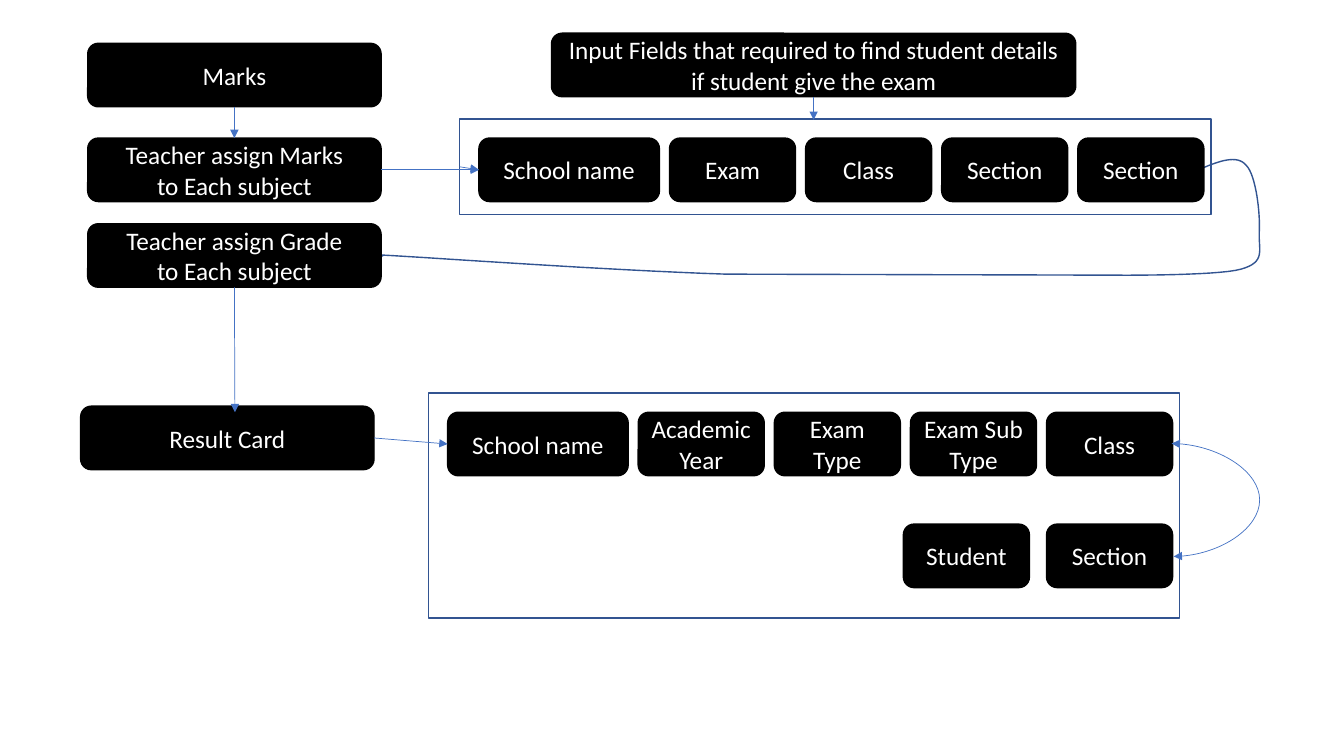
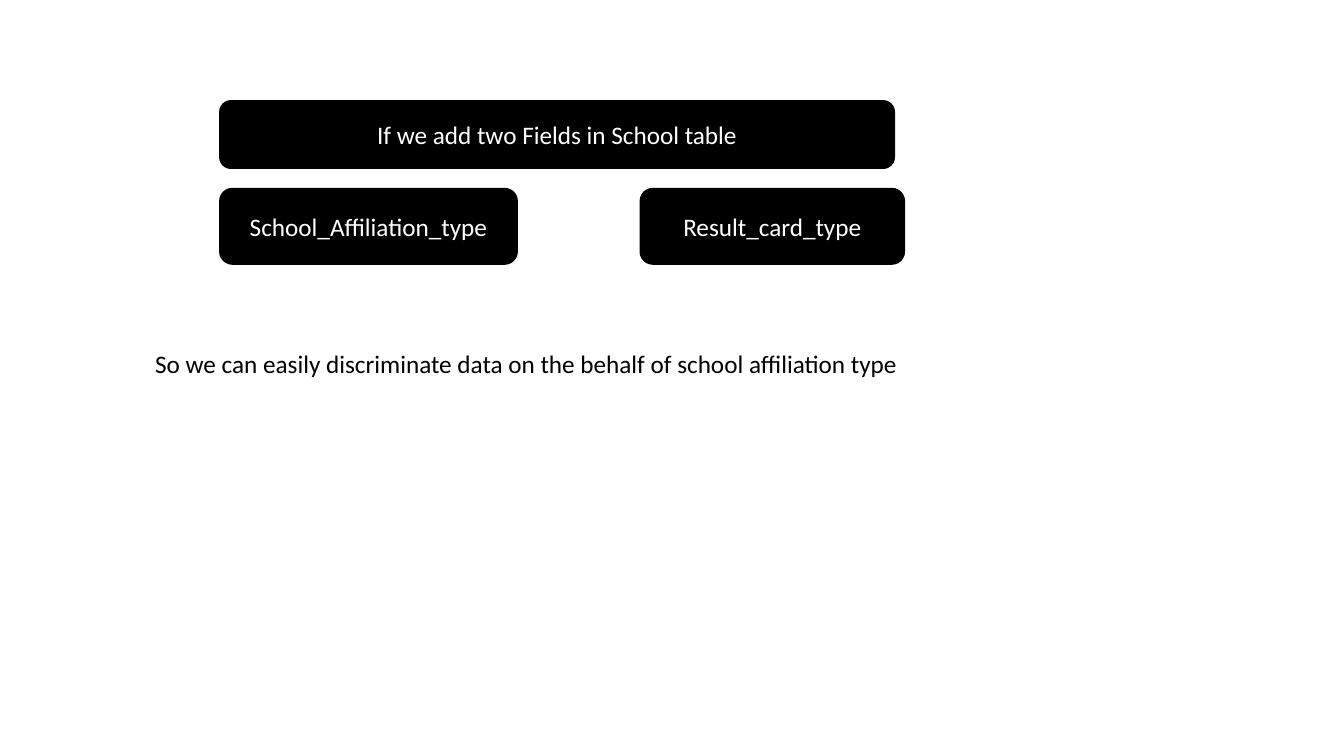
from lxml import etree
from pptx import Presentation
from pptx import util as u
from pptx.dml.color import RGBColor
from pptx.enum import shapes, text
from pptx.oxml.ns import qn

COLORS = {"box": "000000", "box_text": "FFFFFF", "note": "000000",
          "frame": "325491", "arrow": "4472C4"}
FONT, FONT_SIZE = "Calibri", 18
TOP, LEFT, BOTTOM, RIGHT = range(4)  # connection sites of a rectangle

STEP_WIDTH, BOX_HEIGHT = 2.91, 0.63
STEPS = [  # text, left, top
    ("Marks", 0.87, 0.43),
    ("Teacher assign Marks\vto Each subject", 0.87, 1.37),
    ("Teacher assign Grade\vto Each subject", 0.87, 2.22),
    ("Result Card", 0.8, 4.03),
]
INPUT_TITLE = ("Input Fields that required to find student details "
               "if student give the exam")
INPUT_FIELDS = ["School name", "Exam", "Class", "Section", "Section"]
RESULT_FIELDS = ["School name", "Academic Year", "Exam Type",
                 "Exam Sub Type", "Class"]
RESULT_EXTRAS = [("Section", 10.38), ("Student", 8.96)]
EXTRAS_TOP = 5.2
FIRST_WIDTH, FIELD_WIDTH, FIELD_GAP = 1.79, 1.25, 0.1
FRAME_WIDTH, FRAME_MARGIN = 7.45, 0.19

# Cubic segments: two control points and an end point each
GRADE_START = (11.92, 1.67)
GRADE_CURVE = [
    ((12.09, 1.6), (12.27, 1.53), (12.36, 1.64)),
    ((12.46, 1.74), (12.5, 2.13), (12.49, 2.3)),
    ((12.48, 2.48), (12.56, 2.6), (12.31, 2.67)),
    ((12.07, 2.74), (11, 2.73), (11, 2.73)),
    ((11, 2.73), (7.2, 2.72), (7.2, 2.72)),
    ((5.99, 2.68), (4.35, 2.56), (3.78, 2.53)),
    ((3.22, 2.5), (3.51, 2.52), (3.8, 2.54)),
]
CURVE_STEPS = 16

TABLE_BOXES = [  # text, left, top, width, height
    ("If we add two Fields in School table", 2.18, 1, 6.69, 0.67),
    ("School_Affiliation_type", 2.18, 1.87, 2.95, 0.75),
    ("Result_card_type", 6.35, 1.87, 2.62, 0.75),
]
NOTE = "So we can easily discriminate data on the behalf of school affiliation type"


def color(name):
    return RGBColor.from_string(COLORS[name])


def inches(*lengths):
    return [u.Inches(length) for length in lengths]


def style_line(shape, name, width):
    shape.line.color.rgb = color(name)
    shape.line.width = u.Pt(width)


def write(shape, words, name, align):
    shape.text_frame.word_wrap = True
    shape.text_frame.text = words
    paragraph = shape.text_frame.paragraphs[0]
    paragraph.alignment = align
    paragraph.font.name = FONT
    paragraph.font.size = u.Pt(FONT_SIZE)
    paragraph.font.color.rgb = color(name)


def add_box(slide, words, left, top, width, height=BOX_HEIGHT):
    box = slide.shapes.add_shape(shapes.MSO_SHAPE.ROUNDED_RECTANGLE,
                                 *inches(left, top, width, height))
    box.shadow.inherit = False
    box.fill.solid()
    box.fill.fore_color.rgb = color("box")
    style_line(box, "box", 1)
    box.text_frame.vertical_anchor = text.MSO_ANCHOR.MIDDLE
    write(box, words, "box_text", text.PP_ALIGN.CENTER)
    return box


def add_framed_row(slide, labels, left, top, frame_height):
    """Draw a row of fields and its frame; return the first field and the frame."""
    row, x = [], left
    for index, label in enumerate(labels):
        width = FIELD_WIDTH if index else FIRST_WIDTH
        row.append(add_box(slide, label, x, top, width))
        x += width + FIELD_GAP
    frame = slide.shapes.add_shape(
        shapes.MSO_SHAPE.RECTANGLE,
        *inches(left - FRAME_MARGIN, top - FRAME_MARGIN, FRAME_WIDTH, frame_height))
    frame.shadow.inherit = False
    frame.fill.background()
    style_line(frame, "frame", 1)
    return row[0], frame


def add_arrow(slide, start, end, kind=shapes.MSO_CONNECTOR.STRAIGHT, ends=("tailEnd",)):
    """Each end is a point in inches or a (shape, site) pair to glue to."""
    glued = [not isinstance(place[0], (int, float)) for place in (start, end)]
    points = [(0, 0) if glue else place for place, glue in zip((start, end), glued)]
    arrow = slide.shapes.add_connector(kind, *inches(*points[0], *points[1]))
    if glued[0]:
        arrow.begin_connect(*start)
    if glued[1]:
        arrow.end_connect(*end)
    style_line(arrow, "arrow", 0.5)
    line = arrow.line._get_or_add_ln()
    for tag in ends:
        etree.SubElement(line, qn(f"a:{tag}"), type="triangle")
    etree.SubElement(arrow._element.spPr, qn("a:effectLst"))
    return arrow


def add_loop(slide, start, end, bulge_x):
    """Curved two-headed arrow that swings out to bulge_x."""
    loop = add_arrow(slide, start, end, shapes.MSO_CONNECTOR.CURVE,
                     ("headEnd", "tailEnd"))
    ratio = (bulge_x - start[0]) / (end[0] - start[0])
    guides = loop._element.spPr.find(qn("a:prstGeom")).get_or_add_avLst()
    etree.SubElement(guides, qn("a:gd"), name="adj1",
                     fmla=f"val {round(ratio * 100000)}")


def add_curve(slide, start, segments):
    points, origin = [], start
    for first, second, end in segments:
        for step in range(1, CURVE_STEPS + 1):
            t = step / CURVE_STEPS
            weights = ((1 - t) ** 3, 3 * t * (1 - t) ** 2, 3 * t ** 2 * (1 - t), t ** 3)
            corners = (origin, first, second, end)
            points.append(inches(*(sum(w * c[axis] for w, c in zip(weights, corners))
                                   for axis in (0, 1))))
        origin = end
    builder = slide.shapes.build_freeform(*inches(*start))
    builder.add_line_segments(points, close=False)
    curve = builder.convert_to_shape()
    curve.shadow.inherit = False
    curve.fill.background()
    style_line(curve, "frame", 1)


def build_flow(slide):
    add_curve(slide, GRADE_START, GRADE_CURVE)
    marks, assign_marks, assign_grade, result_card = [
        add_box(slide, words, left, top, STEP_WIDTH) for words, left, top in STEPS]
    input_title = add_box(slide, INPUT_TITLE, 5.47, 0.33, 5.2)
    input_school, input_frame = add_framed_row(slide, INPUT_FIELDS, 4.75, 1.37, 0.95)
    result_school, _ = add_framed_row(slide, RESULT_FIELDS, 4.44, 4.09, 2.23)
    for words, left in RESULT_EXTRAS:
        add_box(slide, words, left, EXTRAS_TOP, FIELD_WIDTH)

    for start, end in [
        ((input_title, BOTTOM), (8.07, 1.19)),
        ((input_frame, LEFT), (input_school, LEFT)),
        ((assign_marks, RIGHT), (input_school, LEFT)),
        ((result_card, RIGHT), (result_school, LEFT)),
        ((marks, BOTTOM), (assign_marks, TOP)),
        ((assign_grade, BOTTOM), (2.33, 4.09)),
    ]:
        add_arrow(slide, start, end)
    add_loop(slide, (11.62, 4.4), (11.64, 5.52), 12.49)


def build_table_fields(slide):
    for box in TABLE_BOXES:
        add_box(slide, *box)
    note = slide.shapes.add_textbox(*inches(1.44, 3.41, 9.44, 0.4))
    write(note, NOTE, "note", text.PP_ALIGN.LEFT)
    note.text_frame.auto_size = text.MSO_AUTO_SIZE.SHAPE_TO_FIT_TEXT


def main():
    deck = Presentation()
    deck.slide_width, deck.slide_height = inches(13.33, 7.5)
    for build in (build_flow, build_table_fields):
        build(deck.slides.add_slide(deck.slide_layouts[6]))
    deck.save("out.pptx")


if __name__ == "__main__":
    main()
